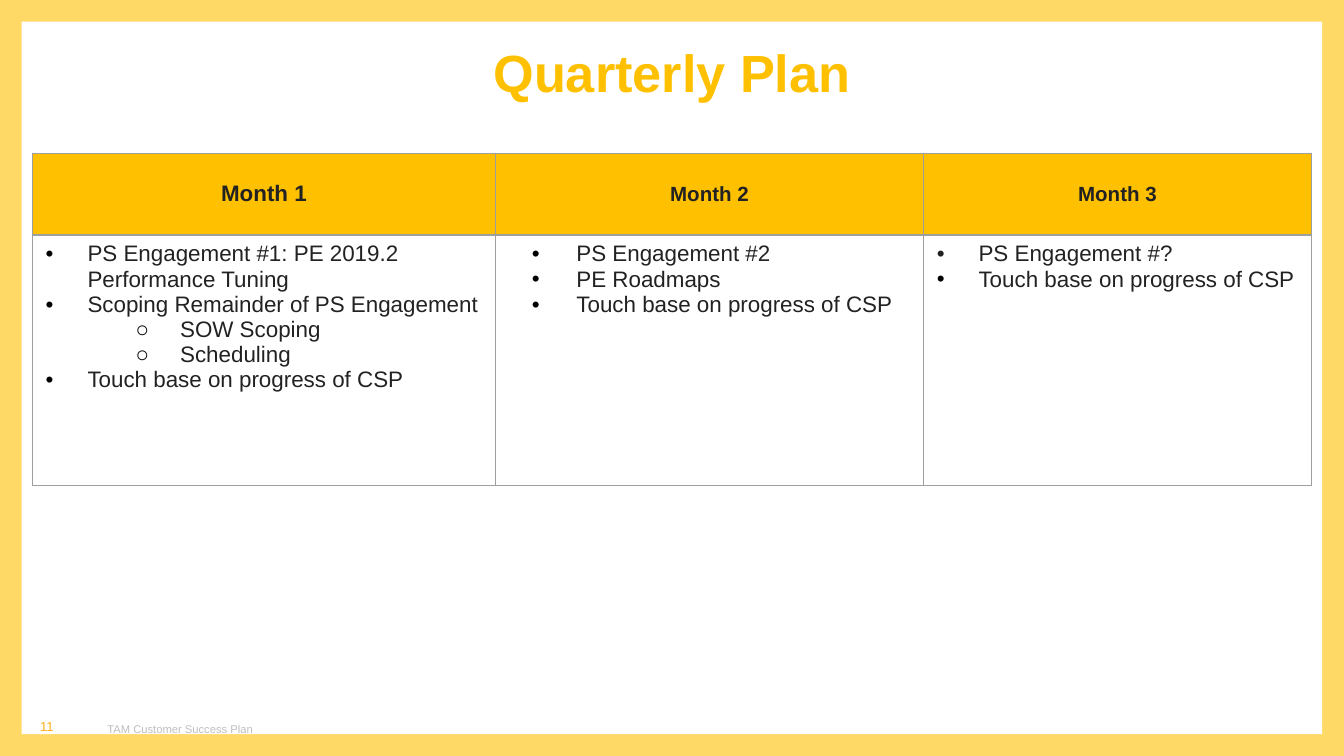
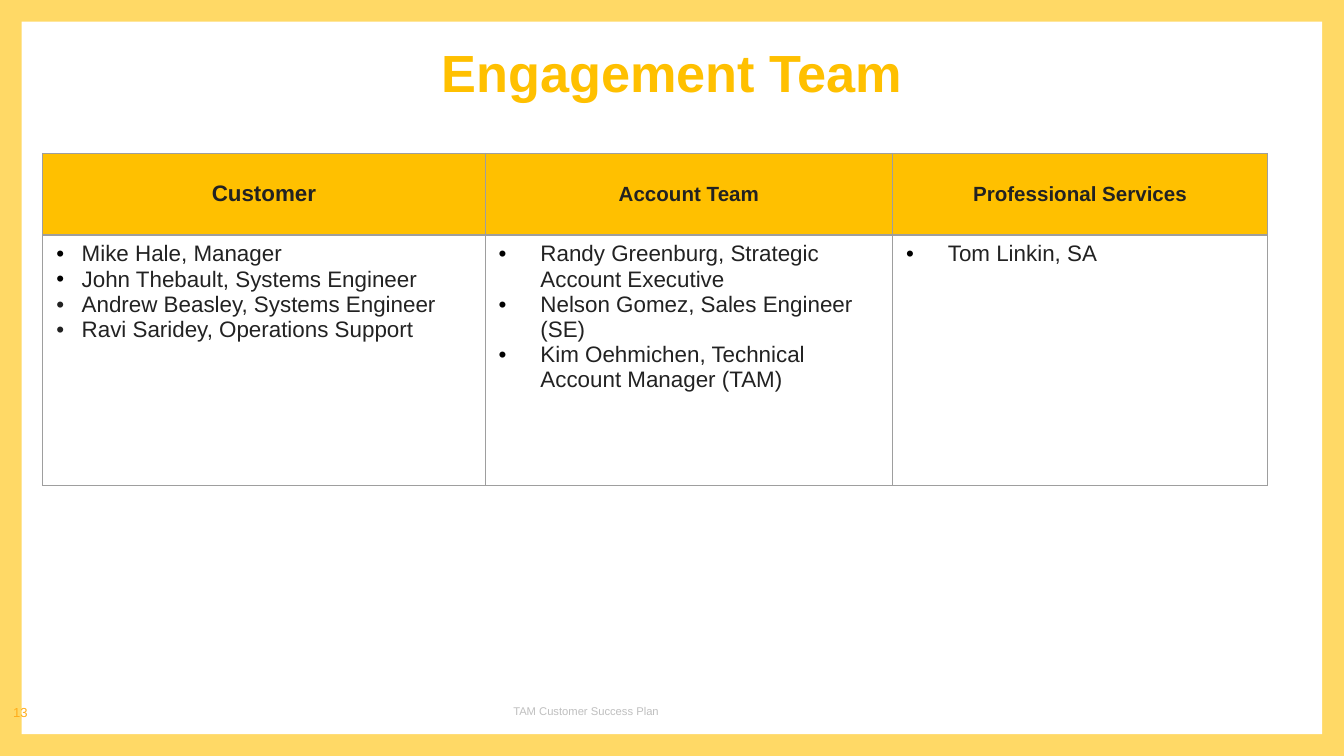
from pptx import Presentation
from pptx.dml.color import RGBColor as RGB
from pptx.enum.shapes import MSO_SHAPE as Shape
from pptx.enum.text import MSO_ANCHOR as Anchor, PP_ALIGN as Align
from pptx.oxml.ns import qn
from pptx.util import Cm, Pt
from lxml.etree import SubElement as Sub

GOLD = RGB(0xFF, 0xC0, 0x00)
SAND = RGB(0xFF, 0xD9, 0x66)
AMBER = RGB(0xFF, 0xAD, 0x1A)
WHITE = RGB(0xFF, 0xFF, 0xFF)
BLACK = RGB(0x00, 0x00, 0x00)
INK = RGB(0x22, 0x22, 0x22)
GREY = RGB(0xBF, 0xBF, 0xBF)
RULE = RGB(0x9E, 0x9E, 0x9E)

WIDE, HIGH, EDGE = 25.4, 14.29, 0.41
ROWS = (1.54, 4.74)
FOOT = (13.18, 1.11)  # top and height of the footer
INSET = (0.25, 0.13, 0.25, 0.13)

# Bullet styles: left margin, hanging indent, level, sign
TIGHT = (0.48, 0.48, 0, "•")
PLAIN = (0.79, 0.79, 0, "•")
DEEP = (1.27, 0.84, 0, "•")
SUB = (2.54, 0.84, 1, "○")


class Deck:
    font = "Arial"

    def __init__(self):
        self.prs = Presentation()
        self.prs.slide_width = Cm(WIDE)
        self.prs.slide_height = Cm(HIGH)
        self.slide = None

    def page(self, title):
        """Start a slide with the gold frame and its title."""
        self.slide = self.prs.slides.add_slide(self.prs.slide_layouts[6])
        fill = self.slide.background.fill
        fill.solid()
        fill.fore_color.rgb = SAND
        self.panel()
        para = self.text(title, (0, 0, WIDE, 1.83), 28, GOLD, bold=True,
                         align=Align.CENTER, inset=(1.52, 0.89, 1.52, 0))
        para.line_spacing = 0.9

    def panel(self):
        box = self.slide.shapes.add_shape(
            Shape.RECTANGLE, Cm(EDGE), Cm(EDGE),
            Cm(WIDE - 2 * EDGE), Cm(HIGH - 2 * EDGE))
        box.shadow.inherit = False
        box.fill.solid()
        box.fill.fore_color.rgb = WHITE
        box.line.fill.background()

    def run(self, para, words, size, color, bold=False):
        run = para.add_run()
        run.text = words
        font = run.font
        font.name, font.size, font.bold = self.font, Pt(size), bold
        font.color.rgb = color

    def text(self, words, area, size, color, bold=False, align=Align.LEFT,
             anchor=Anchor.TOP, inset=INSET):
        box = self.slide.shapes.add_textbox(*map(Cm, area))
        frame = box.text_frame
        frame.word_wrap = True
        frame.vertical_anchor = anchor
        (frame.margin_left, frame.margin_top,
         frame.margin_right, frame.margin_bottom) = map(Cm, inset)
        para = frame.paragraphs[0]
        para.alignment = align
        self.run(para, words, size, color, bold)
        return para

    def foot(self, page, low):
        """Add page number and plan name, either low at left or high and centred."""
        top, tall = FOOT
        anchor = Anchor.BOTTOM if low else Anchor.TOP
        self.text(page, (0, top, 1.78, tall), 7, AMBER, anchor=anchor,
                  inset=(0.76, 0.25, 0.51, 0.76) if low else INSET)
        self.text("TAM Customer Success Plan", (1.78, top, 18.59, tall), 6,
                  GREY, anchor=anchor,
                  align=Align.LEFT if low else Align.CENTER,
                  inset=(0.25, 0.25, 0.25, 0.76) if low else INSET)

    def border(self, cell):
        props = cell._tc.get_or_add_tcPr()
        for side in ("a:lnL", "a:lnR", "a:lnT", "a:lnB"):
            line = Sub(props, qn(side), w=str(Pt(0.75)))
            fill = Sub(line, qn("a:solidFill"))
            Sub(fill, qn("a:srgbClr"), val=str(RULE))

    def bullet(self, para, style, color):
        left, hang, level, sign = style
        para.level = level
        props = para._p.get_or_add_pPr()
        props.set("marL", str(Cm(left)))
        props.set("indent", str(-Cm(hang)))
        Sub(Sub(props, qn("a:buClr")), qn("a:srgbClr"), val=str(color))
        Sub(props, qn("a:buFont"), typeface=self.font)
        Sub(props, qn("a:buChar"), char=sign)

    def head(self, cell, words, size):
        self.border(cell)
        cell.fill.solid()
        cell.fill.fore_color.rgb = GOLD
        cell.vertical_anchor = Anchor.MIDDLE
        para = cell.text_frame.paragraphs[0]
        para.alignment = Align.CENTER
        self.run(para, words, size, INK, True)

    def body(self, cell, items):
        self.border(cell)
        cell.fill.background()
        frame = cell.text_frame
        for i, (words, style, color) in enumerate(items):
            para = frame.add_paragraph() if i else frame.paragraphs[0]
            self.bullet(para, style, color)
            self.run(para, words, 12, INK)

    def table(self, left, cols):
        """Draw columns given as (width, heading, bullet items)."""
        wide = sum(col[0] for col in cols)
        grid = self.slide.shapes.add_table(
            2, len(cols), Cm(left), Cm(2.9), Cm(wide), Cm(sum(ROWS))).table
        grid.horz_banding = grid.first_row = False
        for row, tall in zip(grid.rows, ROWS):
            row.height = Cm(tall)
        for i, (width, name, items) in enumerate(cols):
            grid.columns[i].width = Cm(width)
            self.head(grid.cell(0, i), name, 11 if i else 12)
            self.body(grid.cell(1, i), items)


def items(style, *words, color=BLACK):
    return [(word, style, color) for word in words]


def main():
    deck = Deck()
    touch = "Touch base on progress of CSP"

    deck.page("Quarterly Plan")
    deck.table(0.61, [
        (8.76, "Month 1",
         items(PLAIN, "PS Engagement #1: PE 2019.2 Performance Tuning",
               "Scoping Remainder of PS Engagement")
         + items(SUB, "SOW Scoping", "Scheduling")
         + items(PLAIN, touch)),
        (8.08, "Month 2",
         items(DEEP, "PS Engagement #2", "PE Roadmaps", touch)),
        (7.34, "Month 3",
         items(PLAIN, "PS Engagement #?", color=INK) + items(PLAIN, touch)),
    ])
    deck.foot("11", low=True)

    deck.page("Engagement Team")
    deck.table(0.81, [
        (8.36, "Customer",
         items(TIGHT, "Mike Hale, Manager", "John Thebault, Systems Engineer")
         + items(TIGHT, "Andrew Beasley, Systems Engineer",
                 "Ravi Saridey, Operations Support", color=INK)),
        (7.7, "Account Team",
         items(PLAIN, "Randy Greenburg, Strategic Account Executive",
               "Nelson Gomez, Sales Engineer (SE)",
               "Kim Oehmichen, Technical Account Manager (TAM)")),
        (7.09, "Professional Services", items(PLAIN, "Tom Linkin, SA")),
    ])
    deck.foot("13", low=False)

    deck.prs.save("out.pptx")


if __name__ == "__main__":
    main()
